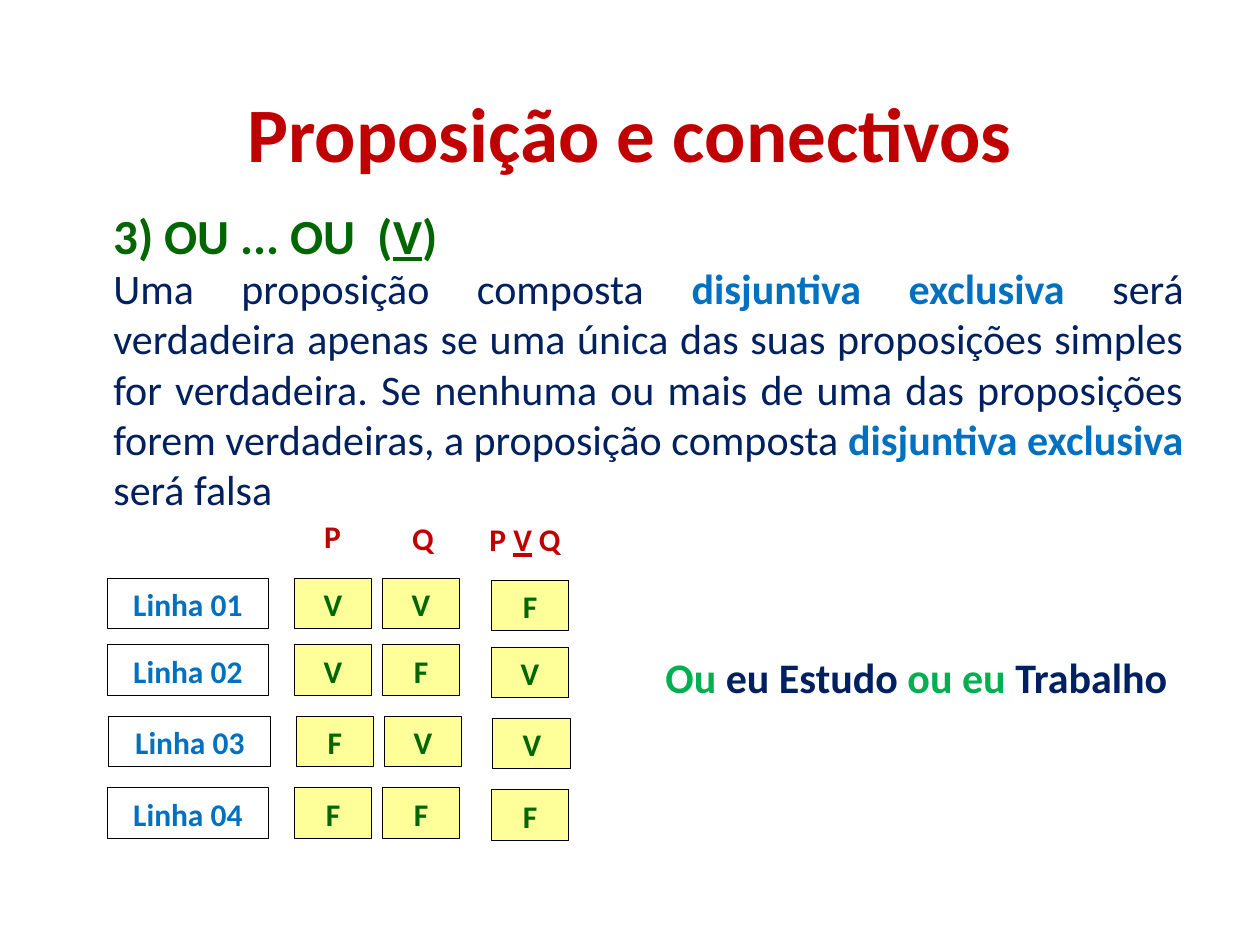
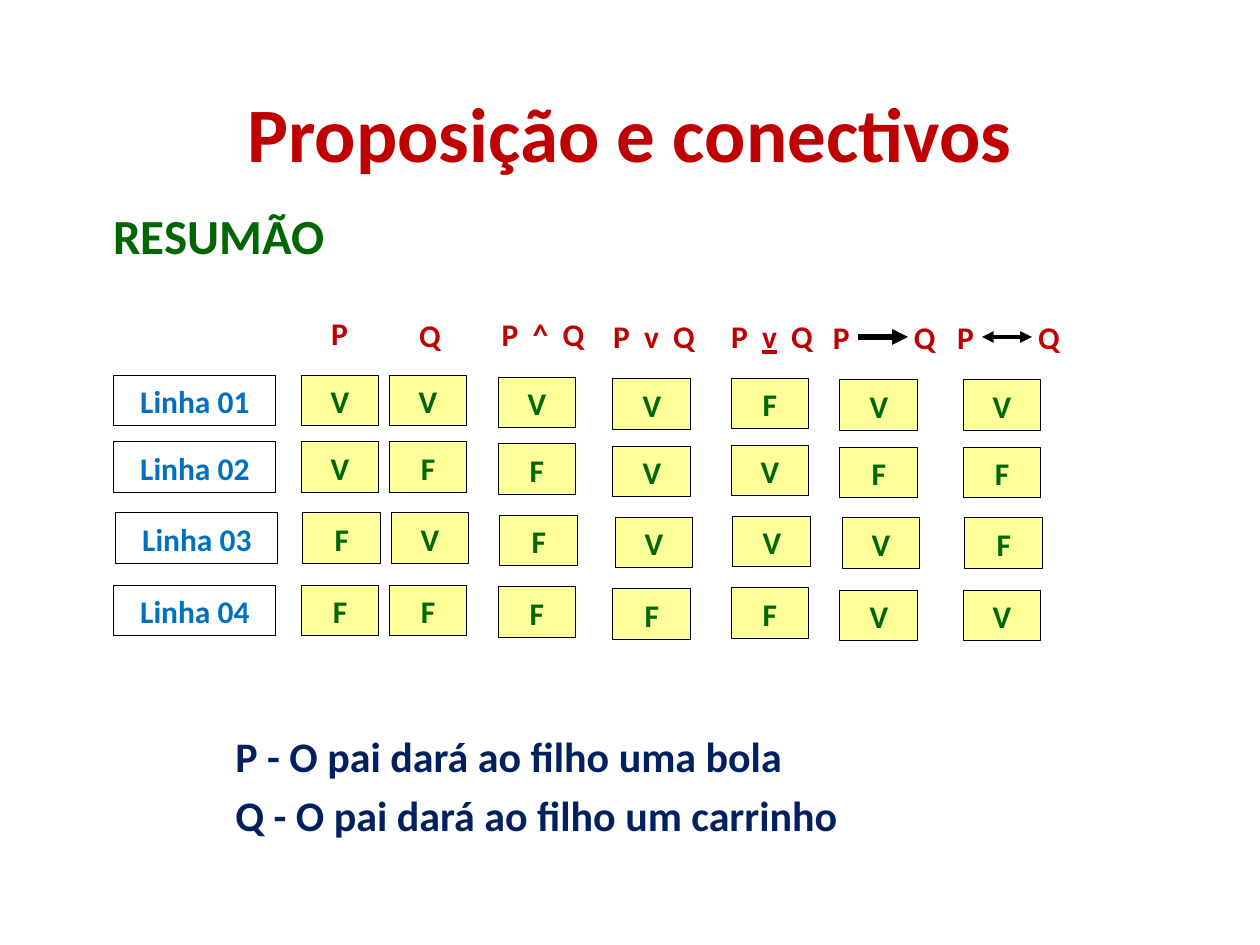
from dataclasses import dataclass
from typing import NamedTuple

from lxml import etree
from pptx import Presentation
from pptx.dml.color import RGBColor
from pptx.enum.shapes import MSO_CONNECTOR, MSO_SHAPE
from pptx.enum.text import MSO_ANCHOR, PP_ALIGN
from pptx.oxml.ns import qn
from pptx.util import Emu, Pt

RECTANGLE = MSO_SHAPE.RECTANGLE
STRAIGHT = MSO_CONNECTOR.STRAIGHT
TOP, MIDDLE = MSO_ANCHOR.TOP, MSO_ANCHOR.MIDDLE
LEFT, CENTER, JUSTIFY = PP_ALIGN.LEFT, PP_ALIGN.CENTER, PP_ALIGN.JUSTIFY
BLANK_LAYOUT = 6
PX_PER_INCH = 126


@dataclass(frozen=True)
class Theme:
    """Colours, font and type sizes shared by the slides."""

    red: str = "C00000"
    dark_green: str = "006600"
    green: str = "00B050"
    navy: str = "002060"
    blue: str = "0070C0"
    yellow: str = "FFFF99"
    black: str = "000000"
    font: str = "Calibri"
    title: int = 44
    heading: int = 28
    body: int = 24
    cell: int = 18
    outline: float = 0.5


THEME = Theme()


class Box(NamedTuple):
    """A rectangle in px."""

    x: int
    y: int
    width: int
    height: int


class Column(NamedTuple):
    """One truth table column; places are relative to the table corner."""

    x: int
    drop: int
    header: object
    header_x: int
    header_y: int
    header_width: int
    values: str
    arrow_width: float = 0
    both_ends: bool = False


TITLE_BOX = Box(63, 68, 1134, 127)
HEADING_BOX = Box(101, 199, 656, 77)
ROW_TOPS = (0, 67, 138, 210)
ROW_SHIFTS = (0, 0, 2, 0)
LABEL_WIDTH, CELL_WIDTH, CELL_HEIGHT = 162, 78, 51
ARROW_START, ARROW_LENGTH, ARROW_Y = 25, 50, -38
HEADER_TAB = 81

P_COLUMN = Column(187, 0, "P", 204, -67, 43, "VVFF")
Q_COLUMN = Column(275, 0, "Q", 292, -65, 48, "VFVF")
EXCLUSIVE_COLUMNS = (
    P_COLUMN,
    Q_COLUMN,
    Column(384, 2, [("P ", {}), ("V", {"underline": True}), (" Q", {})],
           369, -64, 98, "FVVF"),
)
SUMMARY_COLUMNS = (
    P_COLUMN,
    Q_COLUMN,
    Column(384, 2, "P  ^  Q", 374, -66, 110, "VFFF"),
    Column(499, 4, "P  v  Q", 486, -64, 108, "VVVF"),
    Column(617, 3, [("P  ", {}), ("v", {"underline": True}), ("  Q", {})],
           604, -64, 108, "FVVF"),
    Column(726, 5, "P\tQ", 719, -63, 105, "VFVV", 3),
    Column(849, 5, "P\tQ", 843, -63, 105, "VFFV", 2.25, True),
)


def px(length):
    """Turn px into EMU."""
    return Emu(round(length * 914400 / PX_PER_INCH))


def rgb(color):
    """Turn a hex string into a colour."""
    return RGBColor.from_string(color)


def write_text(shape, *paragraphs, size, color, bold=True, align=LEFT,
               anchor=TOP, inset=True, space_before=0):
    """Fill a shape with paragraphs, each a string or a list of (text, format)."""
    frame = shape.text_frame
    frame.word_wrap = True
    frame.vertical_anchor = anchor
    if not inset:
        frame.margin_left = frame.margin_right = 0
    for index, content in enumerate(paragraphs):
        para = frame.add_paragraph() if index else frame.paragraphs[0]
        para.alignment = align
        para.space_before = Pt(space_before if index else 0)
        spans = [(content, {})] if isinstance(content, str) else content
        for text, changes in spans:
            span = para.add_run()
            span.text = text
            span.font.name = THEME.font
            span.font.size = Pt(size)
            span.font.bold = changes.get("bold", bold)
            span.font.underline = changes.get("underline", False)
            span.font.color.rgb = rgb(changes.get("color", color))


def add_text(page, box, *paragraphs, **style):
    """Add a text box and return it."""
    shape = page.shapes.add_textbox(*map(px, box))
    write_text(shape, *paragraphs, **style)
    return shape


def add_cell(page, box, text, color, fill=None):
    """Add an outlined rectangle with centred text."""
    cell = page.shapes.add_shape(RECTANGLE, *map(px, box))
    cell.shadow.inherit = False
    if fill:
        cell.fill.solid()
        cell.fill.fore_color.rgb = rgb(fill)
    else:
        cell.fill.background()
    cell.line.color.rgb = rgb(THEME.black)
    cell.line.width = Pt(THEME.outline)
    write_text(cell, text, size=THEME.cell, color=color, align=CENTER,
               anchor=MIDDLE)


def add_arrow(page, x, y, width, both_ends):
    """Add a horizontal arrow that points right or both ways."""
    arrow = page.shapes.add_connector(
        STRAIGHT, px(x), px(y), px(x + ARROW_LENGTH), px(y))
    arrow.line.color.rgb = rgb(THEME.black)
    arrow.line.width = Pt(width)
    line = arrow.line._get_or_add_ln()
    for tag in ("a:headEnd", "a:tailEnd") if both_ends else ("a:tailEnd",):
        etree.SubElement(line, qn(tag), type="triangle")
    etree.SubElement(arrow._element.spPr, qn("a:effectLst"))


def add_header(page, x, y, column):
    """Add a column header, with its arrow if the connective is one."""
    left = x + column.header_x
    box = Box(left, y + column.header_y, column.header_width, CELL_HEIGHT)
    header = add_text(page, box, column.header, size=THEME.cell,
                      color=THEME.red, inset=False,
                      align=LEFT if column.arrow_width else CENTER)
    if column.arrow_width:
        properties = header.text_frame.paragraphs[0]._p.get_or_add_pPr()
        tabs = etree.SubElement(properties, qn("a:tabLst"))
        etree.SubElement(tabs, qn("a:tab"), pos=str(px(HEADER_TAB)), algn="l")
        add_arrow(page, left + ARROW_START, y + ARROW_Y, column.arrow_width,
                  column.both_ends)


def add_truth_table(page, x, y, columns):
    """Add row labels, headers and truth values from the given corner."""
    rows = list(zip(ROW_TOPS, ROW_SHIFTS))
    for number, (top, shift) in enumerate(rows, 1):
        box = Box(x + shift, y + top, LABEL_WIDTH, CELL_HEIGHT)
        add_cell(page, box, f"Linha {number:02}", THEME.blue)
    for column in columns:
        add_header(page, x, y, column)
        for (top, shift), value in zip(rows, column.values):
            box = Box(x + column.x + shift, y + column.drop + top,
                      CELL_WIDTH, CELL_HEIGHT)
            add_cell(page, box, value, THEME.dark_green, THEME.yellow)


def add_page(deck, heading):
    """Add a slide with the shared title and its own heading."""
    page = deck.slides.add_slide(deck.slide_layouts[BLANK_LAYOUT])
    add_text(page, TITLE_BOX, "Proposição e conectivos", size=THEME.title,
             color=THEME.red, align=CENTER, anchor=MIDDLE)
    add_text(page, HEADING_BOX, heading, size=THEME.heading,
             color=THEME.dark_green, align=JUSTIFY)
    return page


def add_exclusive_page(deck):
    """Build the slide on exclusive disjunction."""
    page = add_page(deck, [("3) OU ... OU  (", {}), ("V", {"underline": True}),
                           (")", {})])
    term = ("disjuntiva exclusiva ", {"color": THEME.blue, "bold": True})
    definition = [
        ("Uma proposição composta ", {}),
        term,
        ("será verdadeira apenas se uma única das suas proposições simples "
         "for verdadeira. Se nenhuma ou mais de uma das proposições forem "
         "verdadeiras, a proposição composta ", {}),
        term,
        ("será falsa ", {}),
    ]
    add_text(page, Box(101, 256, 1095, 268), definition, size=THEME.body,
             color=THEME.navy, bold=False, align=JUSTIFY)
    add_truth_table(page, 107, 578, EXCLUSIVE_COLUMNS)
    green = {"color": THEME.green}
    example = [("Ou ", green), ("eu Estudo ", {}), ("ou eu ", green),
               ("Trabalho", {})]
    add_text(page, Box(653, 645, 547, 72), example, size=THEME.body,
             color=THEME.navy)


def add_summary_page(deck):
    """Build the slide that sums up all connectives."""
    page = add_page(deck, "RESUMÃO")
    add_truth_table(page, 114, 375, SUMMARY_COLUMNS)
    add_text(page, Box(223, 724, 942, 123), "P - O pai dará ao filho uma bola",
             "Q - O pai dará ao filho um carrinho", size=THEME.body,
             color=THEME.navy, space_before=5)


def main():
    """Build and save the deck."""
    deck = Presentation()
    deck.slide_width, deck.slide_height = px(1260), px(945)
    add_exclusive_page(deck)
    add_summary_page(deck)
    deck.save("out.pptx")


if __name__ == "__main__":
    main()
